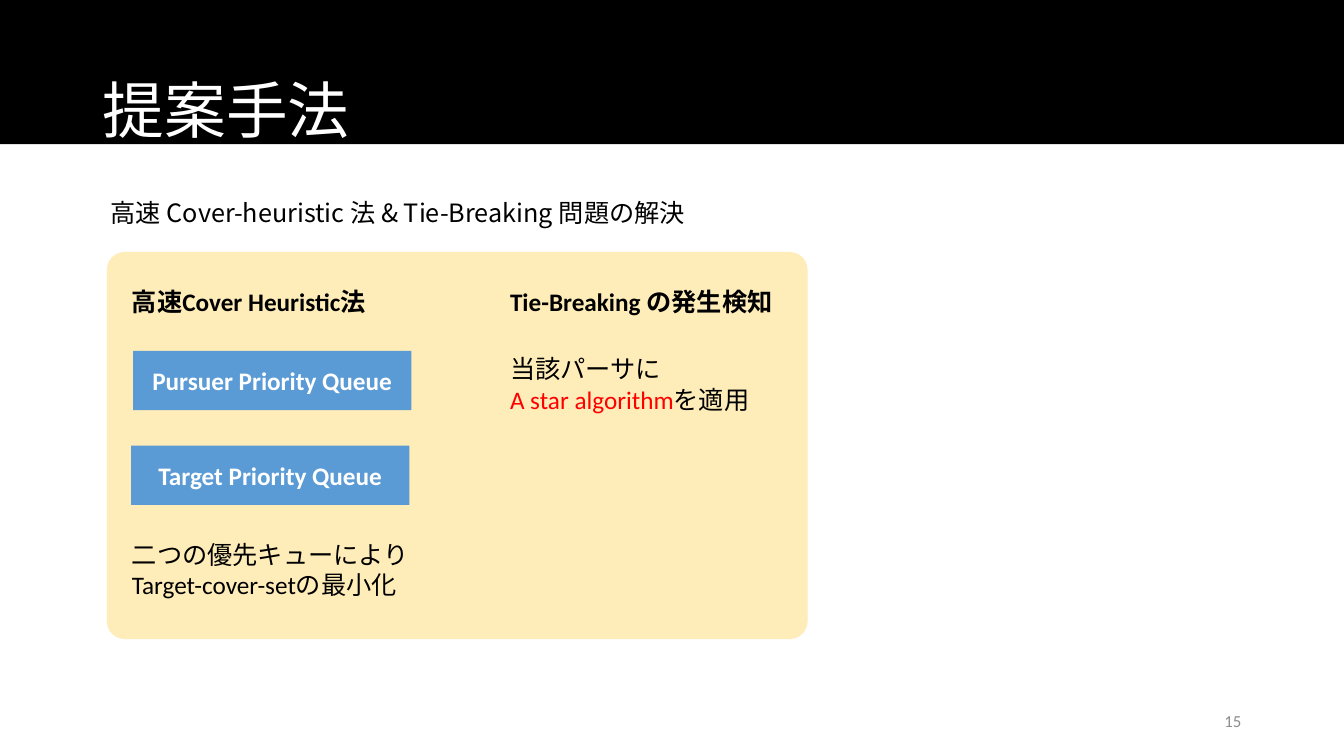
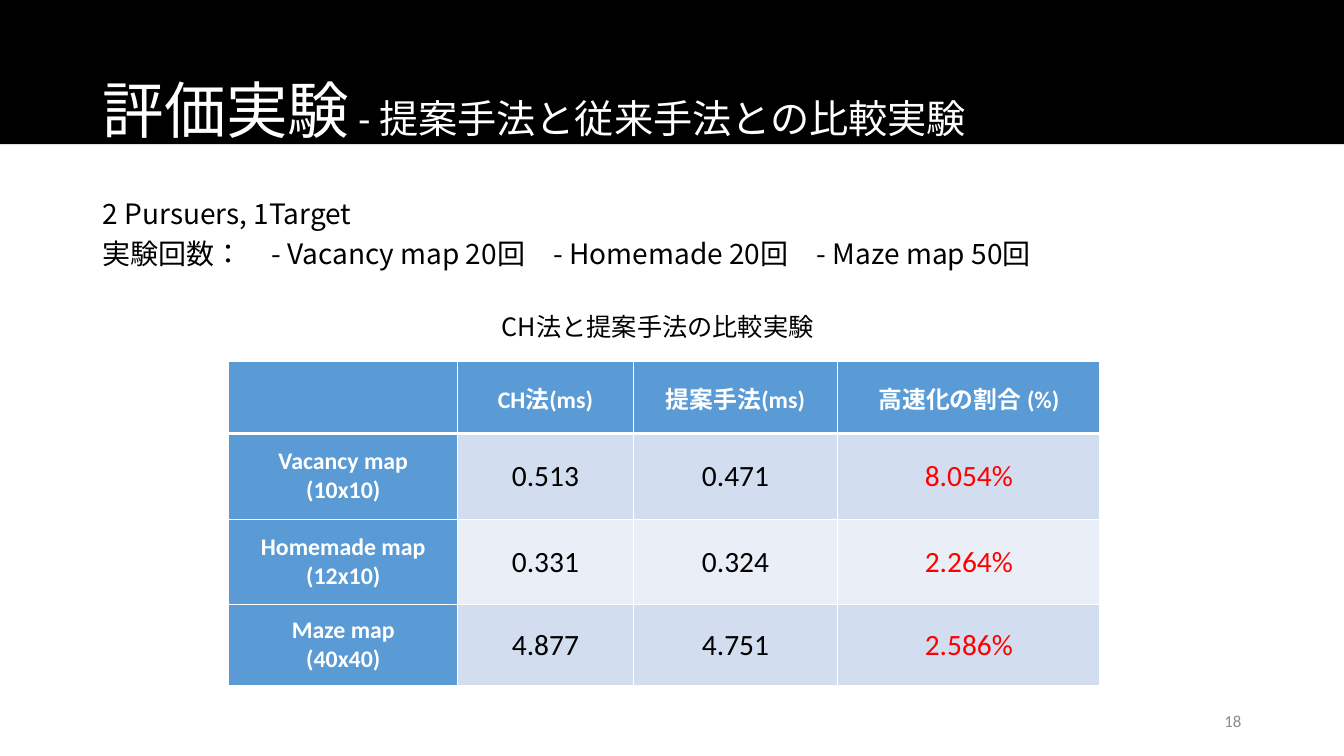
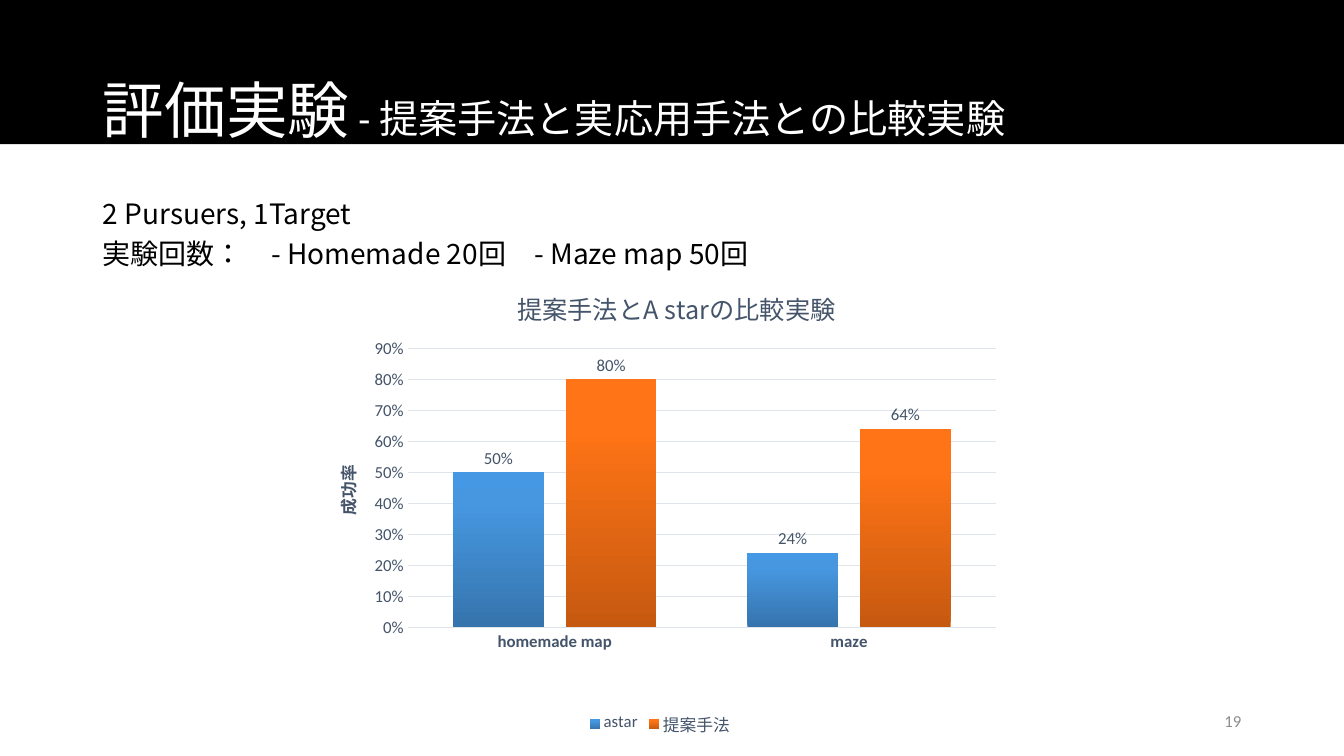
from lxml import etree
from pptx import Presentation
from pptx.chart.data import CategoryChartData
from pptx.dml.color import RGBColor
from pptx.enum.chart import XL_CHART_TYPE, XL_LABEL_POSITION, XL_LEGEND_POSITION, XL_TICK_MARK
from pptx.enum.lang import MSO_LANGUAGE_ID
from pptx.enum.shapes import MSO_SHAPE
from pptx.enum.text import MSO_ANCHOR, MSO_AUTO_SIZE, PP_ALIGN
from pptx.oxml.ns import qn
from pptx.util import Inches, Pt

LEFT, CENTER, RIGHT = PP_ALIGN.LEFT, PP_ALIGN.CENTER, PP_ALIGN.RIGHT
TOP, MIDDLE = MSO_ANCHOR.TOP, MSO_ANCHOR.MIDDLE
RECTANGLE, ROUNDED = MSO_SHAPE.RECTANGLE, MSO_SHAPE.ROUNDED_RECTANGLE
NO_AUTOFIT = MSO_AUTO_SIZE.NONE
JAPANESE = MSO_LANGUAGE_ID.JAPANESE
CLUSTERED_COLUMNS = XL_CHART_TYPE.COLUMN_CLUSTERED
LABEL_OUTSIDE = XL_LABEL_POSITION.OUTSIDE_END
LEGEND_BOTTOM = XL_LEGEND_POSITION.BOTTOM
NO_TICK = XL_TICK_MARK.NONE

BLACK = RGBColor(0x00, 0x00, 0x00)
WHITE = RGBColor(0xFF, 0xFF, 0xFF)
RED = RGBColor(0xFF, 0x00, 0x00)
BLUE = RGBColor(0x5B, 0x9B, 0xD5)
CREAM = RGBColor(0xFE, 0xEC, 0xB9)
GRAY = RGBColor(0x8C, 0x8C, 0x8C)
SLATE = RGBColor(0x44, 0x54, 0x6A)
GRID_LINE = RGBColor(0xE0, 0xE5, 0xEB)
STRIPES = RGBColor(0xD2, 0xDE, 0xEF), RGBColor(0xEA, 0xEF, 0xF7)
BLUE_SHADES = (
    (0, RGBColor(0x36, 0x74, 0xAD)),
    (80, RGBColor(0x46, 0x97, 0xE0)),
    (100, RGBColor(0x44, 0x98, 0xE4)),
)
ORANGE_SHADES = (
    (0, RGBColor(0xC6, 0x59, 0x10)),
    (80, RGBColor(0xFF, 0x74, 0x16)),
    (100, RGBColor(0xFF, 0x75, 0x17)),
)

BODY_FONT, JAPANESE_FONT, SUBTITLE_FONT = "Calibri", "Noto Sans CJK JP", "Arial"

METHOD_TITLE = "提案手法"
METHOD_LEAD = "高速 Cover-heuristic 法 & Tie-Breaking 問題の解決"
CARD_HEADINGS = "高速Cover Heuristic法", "Tie-Breaking の発生検知"
QUEUES = ("Pursuer Priority Queue", 1.32, 3.48), ("Target Priority Queue", 1.3, 4.42)
QUEUE_RESULT = "二つの優先キューによりTarget-cover-setの最小化"
DETECTION = ["当該パーサに", [("A star algorithm", {"color": RED}), ("を適用", {})]]

EXPERIMENT_TITLE = "評価実験"
COMPARISON_SUBTITLE = "提案手法と従来手法との比較実験"
SUCCESS_SUBTITLE = "提案手法と実応用手法との比較実験"
PLAYERS = "2 Pursuers, 1Target"
COMPARISON_RUNS = "実験回数：　- Vacancy map 20回　- Homemade 20回　- Maze map 50回"
SUCCESS_RUNS = "実験回数：　- Homemade 20回　- Maze map 50回"

TABLE_CAPTION = "CH法と提案手法の比較実験"
TABLE_ROWS = [
    ("", "CH法(ms)", "提案手法(ms)", "高速化の割合 (%)"),
    (["Vacancy map", "(10x10)"], "0.513", "0.471", "8.054%"),
    (["Homemade map", "(12x10)"], "0.331", "0.324", "2.264%"),
    (["Maze map", "(40x40)"], "4.877", "4.751", "2.586%"),
]

CHART_TITLE = "提案手法とA starの比較実験"
VALUE_TITLE = "成功率"
MAPS = "homemade map", "maze"
SUCCESS_RATES = [
    ("astar", (0.5, 0.24), BLUE_SHADES),
    ("提案手法", (0.8, 0.64), ORANGE_SHADES),
]

WIDTH, HEIGHT = 13.33, 7.5
MARGIN = 0.92
CONTENT_WIDTH = 11.5
BAND_HEIGHT = 1.43
NUMBER_WIDTH = 3
LINE_HEIGHT, TWO_LINES = 0.4, 0.71
CARD_BOX = 1.06, 2.5, 6.95, 3.84
CARD_COLUMNS = 1.21, 4.96
CARD_TEXT_WIDTH = 2.95
QUEUE_SIZE = 2.76, 0.59
TABLE_CORNER = 2.27, 3.59
COLUMN_WIDTHS = 2.27, 1.74, 2.03, 2.6
ROW_HEIGHTS = 0.71, 0.85, 0.85, 0.8
CHART_BOX = 3.07, 2.66, 6.95, 4.69
PLOT_SHARES = {"x": 0.14, "y": 0.17, "w": 0.84, "h": 0.59}
CHART_TITLE_SHARES = {"x": 0.29, "y": 0.03}
VALUE_TITLE_SHARES = {"x": 0.03, "y": 0.41}


def inches(*lengths):
    return [Inches(length) for length in lengths]


def style_font(font, size=18, color=BLACK, name=BODY_FONT, bold=False):
    font.size, font.name, font.bold = Pt(size), name, bold
    font.color.rgb = color


def add_run(paragraph, text, **font_style):
    run = paragraph.add_run()
    run.text = text
    style_font(run.font, **font_style)
    run.font.language_id = JAPANESE
    properties = run._r.get_or_add_rPr()
    etree.SubElement(properties, qn("a:ea"), typeface=JAPANESE_FONT)


def write(frame, text, align=LEFT, anchor=TOP, spacing=1.0, **font_style):
    frame.word_wrap = True
    frame.vertical_anchor = anchor
    lines = text if isinstance(text, list) else [text]
    for index, line in enumerate(lines):
        paragraph = frame.add_paragraph() if index else frame.paragraphs[0]
        paragraph.alignment = align
        paragraph.line_spacing = spacing
        runs = line if isinstance(line, list) else [(line, {})]
        for words, changes in runs:
            add_run(paragraph, words, **{**font_style, **changes})


def add_text(shapes, text, left, top, width, height, **style):
    box = shapes.add_textbox(*inches(left, top, width, height))
    write(box.text_frame, text, **style)


def add_block(shapes, kind, left, top, width, height, fill):
    block = shapes.add_shape(kind, *inches(left, top, width, height))
    block.shadow.inherit = False
    block.fill.solid()
    block.fill.fore_color.rgb = fill
    block.line.fill.background()
    return block


def start_slide(title, number):
    slide = presentation.slides.add_slide(title_only)
    heading = slide.shapes.title
    heading.left, heading.top, heading.width, heading.height = inches(
        MARGIN, 0.4, CONTENT_WIDTH, 1.45)
    heading.text_frame.auto_size = NO_AUTOFIT
    write(heading.text_frame, title, size=44, color=WHITE, anchor=MIDDLE, spacing=0.9)
    band = add_block(slide.shapes, RECTANGLE, 0, 0, WIDTH, BAND_HEIGHT, BLACK)
    heading.element.addprevious(band.element)
    add_text(slide.shapes, str(number), WIDTH - MARGIN - NUMBER_WIDTH, 6.95,
             NUMBER_WIDTH, LINE_HEIGHT, size=12, color=GRAY, align=RIGHT, anchor=MIDDLE)
    return slide


def start_experiment(subtitle, number, runs):
    title_runs = [
        (EXPERIMENT_TITLE, {}),
        (" - ", {"size": 28}),
        (subtitle, {"size": 28, "name": SUBTITLE_FONT}),
    ]
    slide = start_slide([title_runs], number)
    add_text(slide.shapes, [PLAYERS, runs], MARGIN, 1.83, 10.5, 0.91,
             size=20, name=JAPANESE_FONT, spacing=1.2)
    return slide


def add_method_card(slide):
    card = slide.shapes.add_group_shape().shapes
    background = add_block(card, ROUNDED, *CARD_BOX, CREAM)
    background.adjustments[0] = 0.046
    for label, left, top in QUEUES:
        queue = add_block(card, RECTANGLE, left, top, *QUEUE_SIZE, BLUE)
        write(queue.text_frame, label, color=WHITE, bold=True, align=CENTER, anchor=MIDDLE)
    for heading, left in zip(CARD_HEADINGS, CARD_COLUMNS):
        add_text(card, heading, left, 2.79, CARD_TEXT_WIDTH, LINE_HEIGHT, bold=True)
    queue_column, detection_column = CARD_COLUMNS
    add_text(card, QUEUE_RESULT, queue_column, 5.3, 3.56, TWO_LINES)
    add_text(card, DETECTION, detection_column, 3.46, CARD_TEXT_WIDTH, TWO_LINES)


def set_borders(cell, bottom_width):
    properties = cell._tc.get_or_add_tcPr()
    widths = {"lnL": 1, "lnR": 1, "lnT": 1, "lnB": bottom_width}
    for position, (side, width) in enumerate(widths.items()):
        line = etree.Element(qn("a:" + side), w=str(Pt(width)))
        fill = etree.SubElement(line, qn("a:solidFill"))
        etree.SubElement(fill, qn("a:srgbClr"), val=str(WHITE))
        properties.insert(position, line)


def cell_style(row, column):
    if row == 0 or column == 0:
        return BLUE, {"size": 17, "color": WHITE, "bold": True}
    is_speedup = column == len(COLUMN_WIDTHS) - 1
    return STRIPES[(row - 1) % 2], {"size": 21, "color": RED if is_speedup else BLACK}


def add_results_table(slide):
    size = sum(COLUMN_WIDTHS), sum(ROW_HEIGHTS)
    frame = slide.shapes.add_table(
        len(ROW_HEIGHTS), len(COLUMN_WIDTHS), *inches(*TABLE_CORNER, *size))
    table = frame.table
    for column, width in zip(table.columns, COLUMN_WIDTHS):
        column.width = Inches(width)
    for row, height in zip(table.rows, ROW_HEIGHTS):
        row.height = Inches(height)
    for row_index, values in enumerate(TABLE_ROWS):
        for column_index, value in enumerate(values):
            cell = table.cell(row_index, column_index)
            fill, font_style = cell_style(row_index, column_index)
            cell.fill.solid()
            cell.fill.fore_color.rgb = fill
            cell.margin_left = cell.margin_right = Inches(0.11)
            cell.margin_top = cell.margin_bottom = 0
            cell.vertical_anchor = MIDDLE
            if value:
                write(cell.text_frame, value, align=CENTER, anchor=MIDDLE, **font_style)
            set_borders(cell, bottom_width=3 if row_index == 0 else 1)


def make_layout(shares):
    layout = etree.Element(qn("c:layout"))
    manual = etree.SubElement(layout, qn("c:manualLayout"))
    target = {"layoutTarget": "inner"} if "w" in shares else {}
    settings = {**target, "xMode": "edge", "yMode": "edge", **shares}
    for tag, value in settings.items():
        etree.SubElement(manual, qn("c:" + tag), val=str(value))
    return layout


def place_plot(chart, shares):
    plot_area = chart._chartSpace.chart.plotArea
    for automatic in plot_area.findall(qn("c:layout")):
        plot_area.remove(automatic)
    plot_area.insert(0, make_layout(shares))


def place_title(title, shares):
    element = title._element
    for automatic in element.findall(qn("c:layout")):
        element.remove(automatic)
    element.find(qn("c:tx")).addnext(make_layout(shares))


def fill_gradient(series, shades):
    gradient = etree.Element(qn("a:gradFill"))
    stops = etree.SubElement(gradient, qn("a:gsLst"))
    for percent, color in shades:
        stop = etree.SubElement(stops, qn("a:gs"), pos=str(percent * 1000))
        etree.SubElement(stop, qn("a:srgbClr"), val=str(color))
    etree.SubElement(gradient, qn("a:lin"), ang=str(270 * 60000), scaled="0")
    series._element.get_or_add_spPr().insert(0, gradient)


def format_series(plot):
    plot.vary_by_categories = False
    plot.gap_width, plot.overlap = 100, -24
    for series, (_, _, shades) in zip(plot.series, SUCCESS_RATES):
        fill_gradient(series, shades)
        labels = series.data_labels
        labels.show_value = True
        labels.position = LABEL_OUTSIDE
        labels.number_format, labels.number_format_is_linked = "0%", False
        style_font(labels.font, size=12, color=SLATE)


def format_axes(category_axis, value_axis):
    for axis, bold in ((category_axis, True), (value_axis, False)):
        axis.major_tick_mark = axis.minor_tick_mark = NO_TICK
        axis.format.line.fill.background()
        style_font(axis.tick_labels.font, size=12, color=SLATE, bold=bold)
    value_axis.minimum_scale, value_axis.maximum_scale = 0, 0.9
    value_axis.major_unit = 0.1
    value_axis.tick_labels.number_format = "0%"
    value_axis.tick_labels.number_format_is_linked = False
    grid_line = value_axis.major_gridlines.format.line
    grid_line.color.rgb, grid_line.width = GRID_LINE, Pt(0.75)


def add_value_title(value_axis):
    title = value_axis.axis_title
    frame = title.text_frame
    write(frame, VALUE_TITLE, size=12, color=SLATE, bold=True, align=CENTER)
    body = frame._txBody.bodyPr
    body.set("rot", str(-90 * 60000))
    body.set("vert", "horz")
    place_title(title, VALUE_TITLE_SHARES)


def add_success_chart(slide):
    data = CategoryChartData(number_format="0%")
    data.categories = MAPS
    for name, rates, _ in SUCCESS_RATES:
        data.add_series(name, rates)
    chart = slide.shapes.add_chart(CLUSTERED_COLUMNS, *inches(*CHART_BOX), data).chart
    style_font(chart.font, size=12, color=SLATE)
    write(chart.chart_title.text_frame, CHART_TITLE, color=SLATE,
          name=JAPANESE_FONT, align=CENTER)
    place_title(chart.chart_title, CHART_TITLE_SHARES)
    place_plot(chart, PLOT_SHARES)
    chart.has_legend = True
    chart.legend.position = LEGEND_BOTTOM
    chart.legend.include_in_layout = False
    style_font(chart.legend.font, size=12, color=SLATE)
    format_series(chart.plots[0])
    format_axes(chart.category_axis, chart.value_axis)
    add_value_title(chart.value_axis)


presentation = Presentation()
presentation.slide_width, presentation.slide_height = inches(WIDTH, HEIGHT)
title_only = presentation.slide_layouts[5]

method = start_slide(METHOD_TITLE, 15)
add_text(method.shapes, METHOD_LEAD, 1, 1.91, 6.32, LINE_HEIGHT, name=JAPANESE_FONT)
add_method_card(method)

comparison = start_experiment(COMPARISON_SUBTITLE, 18, COMPARISON_RUNS)
add_results_table(comparison)
add_text(comparison.shapes, TABLE_CAPTION, 4.88, 3.04, 3.43, LINE_HEIGHT, name=JAPANESE_FONT)

success = start_experiment(SUCCESS_SUBTITLE, 19, SUCCESS_RUNS)
add_success_chart(success)

presentation.save("out.pptx")
